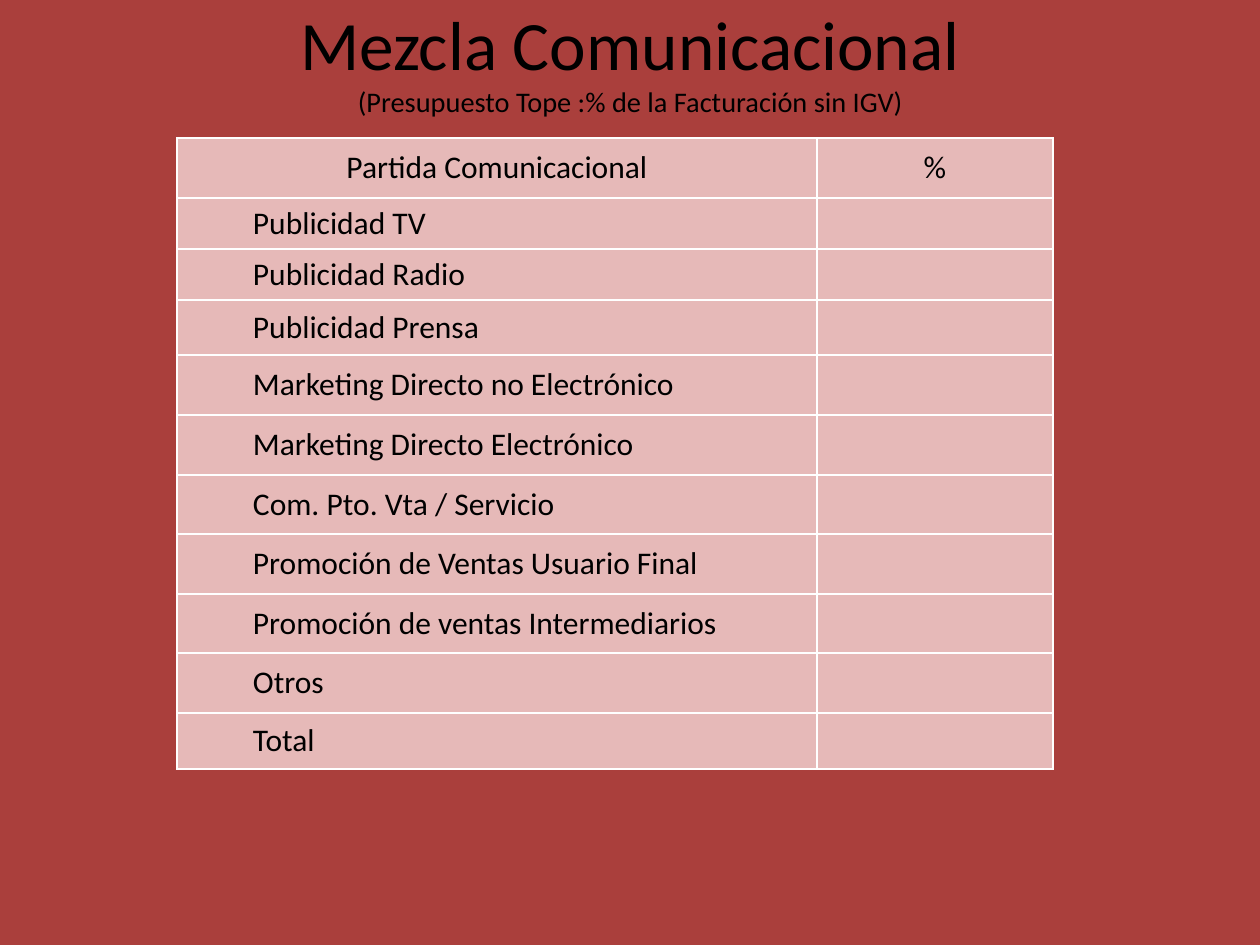
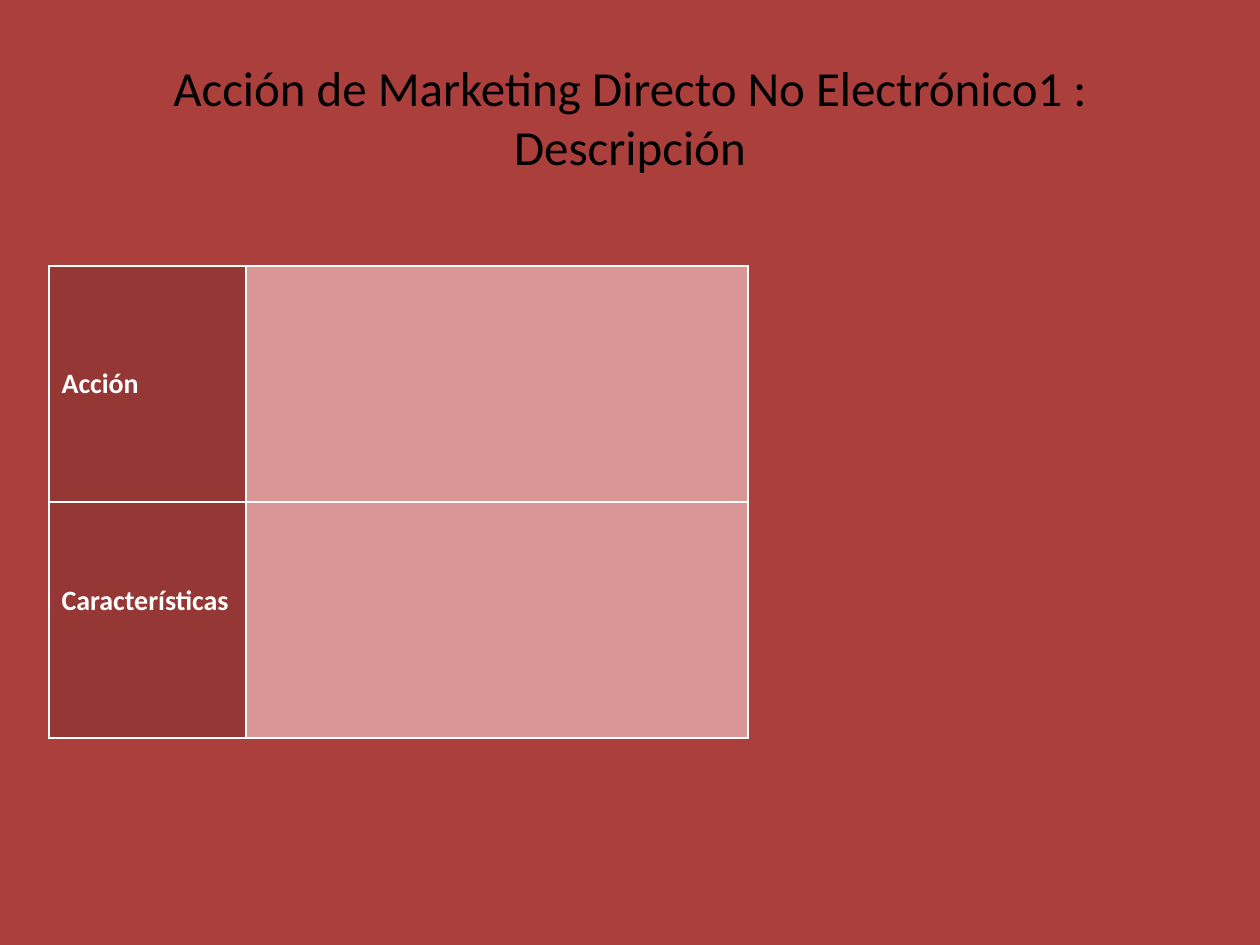
from dataclasses import dataclass

from lxml import etree
from pptx import Presentation
from pptx.dml.color import RGBColor
from pptx.enum.text import MSO_ANCHOR, MSO_AUTO_SIZE, PP_ALIGN
from pptx.oxml.ns import qn
from pptx.util import Pt

EMU_PER_INCH = 914400
PX_PER_INCH = 126
TITLE_ONLY = 5
LEFT, CENTER = PP_ALIGN.LEFT, PP_ALIGN.CENTER
MIDDLE = MSO_ANCHOR.MIDDLE


@dataclass(frozen=True)
class Theme:
    font: str = "Calibri"
    background: str = "AA3F3C"
    ink: str = "000000"
    white: str = "FFFFFF"
    budget_fill: str = "E6B9B8"
    label_fill: str = "953735"
    value_fill: str = "D99694"
    border_pt: int = 1
    main_title: float = 39.6
    subtitle: float = 16.2
    action_title: float = 28
    budget_text: float = 18
    label_text: float = 16


THEME = Theme()

BUDGET_ITEMS = [
    "Publicidad TV",
    "Publicidad Radio",
    "Publicidad Prensa",
    "Marketing Directo no Electrónico",
    "Marketing Directo Electrónico",
    "Com. Pto. Vta / Servicio",
    "Promoción de Ventas Usuario Final",
    "Promoción de ventas Intermediarios",
    "Otros",
    "Total",
]


def px(length):
    return round(length * EMU_PER_INCH / PX_PER_INCH)


def write(para, text, *, size, color=THEME.ink, bold=False, align=LEFT):
    para.alignment = align
    span = para.add_run()
    span.text = text
    span.font.name = THEME.font
    span.font.size = Pt(size)
    span.font.bold = bold
    span.font.color.rgb = RGBColor.from_string(color)


def add_page(deck, title_box, title_lines):
    """Add a page whose title holds (text, size) lines within one paragraph."""
    page = deck.slides.add_slide(deck.slide_layouts[TITLE_ONLY])
    page.background.fill.solid()
    page.background.fill.fore_color.rgb = RGBColor.from_string(THEME.background)

    title = page.shapes.title
    title.left, title.top, title.width, title.height = map(px, title_box)
    frame = title.text_frame
    frame.word_wrap = True
    frame.auto_size = MSO_AUTO_SIZE.NONE
    frame.vertical_anchor = MIDDLE
    para = frame.paragraphs[0]
    for index, (text, size) in enumerate(title_lines):
        if index:
            para.add_line_break()
        write(para, text, size=size, align=CENTER)
    return page


def add_borders(cell):
    properties = cell._tc.get_or_add_tcPr()
    for side in ("lnL", "lnR", "lnT", "lnB"):
        line = etree.SubElement(properties, qn(f"a:{side}"), w=str(Pt(THEME.border_pt)))
        fill = etree.SubElement(line, qn("a:solidFill"))
        etree.SubElement(fill, qn("a:srgbClr"), val=THEME.white)


def add_table(page, left, top, column_widths, row_heights, column_fills):
    box = map(px, (left, top, sum(column_widths), sum(row_heights)))
    table = page.shapes.add_table(len(row_heights), len(column_widths), *box).table
    table.first_row = False
    table.horz_banding = False
    for column, width in zip(table.columns, column_widths):
        column.width = px(width)
    for row, height in zip(table.rows, row_heights):
        row.height = px(height)
        for cell, color in zip(row.cells, column_fills):
            add_borders(cell)
            cell.fill.solid()
            cell.fill.fore_color.rgb = RGBColor.from_string(color)
            cell.vertical_anchor = MIDDLE
    return table


def build_budget_page(deck):
    page = add_page(deck, (0, -4, 1260, 128), [
        ("Mezcla Comunicacional", THEME.main_title),
        ("(Presupuesto Tope :% de la Facturación sin IGV)", THEME.subtitle),
    ])
    row_heights = [60, 51, 51, 55, 60, 60, 59, 60, 59, 60, 56]
    table = add_table(page, 177, 138, [640, 236], row_heights, [THEME.budget_fill] * 2)
    for column, heading in enumerate(["Partida Comunicacional", "%"]):
        write(table.cell(0, column).text_frame.paragraphs[0], heading,
              size=THEME.budget_text, align=CENTER)
    for row, item in enumerate(BUDGET_ITEMS, start=1):
        cell = table.cell(row, 0)
        cell.margin_left = px(76)
        write(cell.text_frame.paragraphs[0], item, size=THEME.budget_text)


def build_action_page(deck):
    page = add_page(deck, (63, 38, 1134, 157), [
        ("Acción de Marketing Directo No Electrónico1 : Descripción", THEME.action_title),
    ])
    table = add_table(page, 49, 266, [197, 502], [236, 236],
                      [THEME.label_fill, THEME.value_fill])
    for row, (label, bottom_margin) in enumerate([("Acción", 6), ("Características", 44)]):
        cell = table.cell(row, 0)
        cell.margin_bottom = px(bottom_margin)
        write(cell.text_frame.paragraphs[0], label,
              size=THEME.label_text, color=THEME.white, bold=True)


def main():
    deck = Presentation()
    deck.slide_width, deck.slide_height = px(1260), px(945)
    build_budget_page(deck)
    build_action_page(deck)
    deck.save("out.pptx")


if __name__ == "__main__":
    main()
